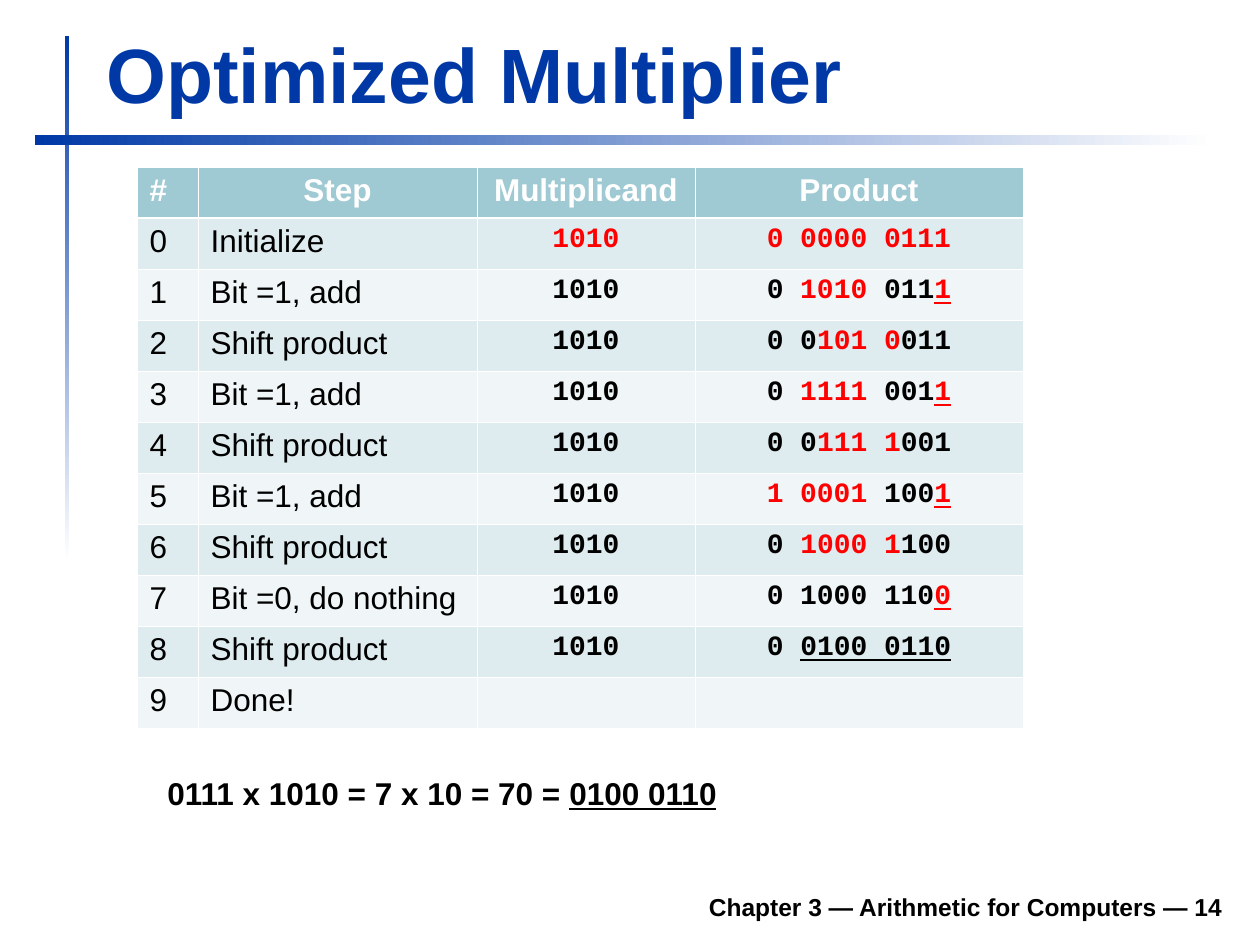
from typing import NamedTuple

from lxml.etree import SubElement
from pptx import Presentation
from pptx.dml.color import RGBColor
from pptx.enum.shapes import MSO_SHAPE
from pptx.enum.text import MSO_ANCHOR, MSO_AUTO_SIZE, PP_ALIGN
from pptx.oxml.ns import qn
from pptx.util import Emu, Pt

BLUE, RED, BLACK, WHITE = "0039A6", "FF0000", "000000", "FFFFFF"
HEADER_FILL, BAND_FILLS = "9FCAD3", ("DFECEF", "F0F6F7")


class Part(NamedTuple):
    """A stretch of text with one colour and underline."""
    text: str
    color: str = BLACK
    underline: bool = False


class Style(NamedTuple):
    """Font and alignment shared by a whole paragraph."""
    size: int = 18
    font: str = "Arial"
    bold: bool = False
    align: PP_ALIGN = PP_ALIGN.LEFT


class Box(NamedTuple):
    """A rectangle in px."""
    left: int
    top: int
    width: int
    height: int


class Step(NamedTuple):
    """One row of the multiplication."""
    action: str
    multiplicand: list[Part]
    product: list[Part]


LABEL = Style()
HEADING = Style(bold=True)
CENTERED_HEADING = Style(bold=True, align=PP_ALIGN.CENTER)
BITS = Style(16, "Courier New", True, PP_ALIGN.CENTER)
ADD, SHIFT = "Bit =1, add", "Shift product"
FACTOR = [Part("1010")]

STEPS = [
    Step("Initialize", [Part("1010", RED)], [Part("0 0000 0111", RED)]),
    Step(ADD, FACTOR, [Part("0"), Part(" 1010", RED), Part(" 011"), Part("1", RED, True)]),
    Step(SHIFT, FACTOR, [Part("0 0"), Part("101 0", RED), Part("011")]),
    Step(ADD, FACTOR, [Part("0"), Part(" 1111", RED), Part(" 001"), Part("1", RED, True)]),
    Step(SHIFT, FACTOR, [Part("0 0"), Part("111 1", RED), Part("001")]),
    Step(ADD, FACTOR, [Part("1 0001", RED), Part(" 100"), Part("1", RED, True)]),
    Step(SHIFT, FACTOR, [Part("0 "), Part("1000 1", RED), Part("100")]),
    Step("Bit =0, do nothing", FACTOR, [Part("0 1000 110"), Part("0", RED, True)]),
    Step(SHIFT, FACTOR, [Part("0 "), Part("0100 0110", BLACK, True)]),
    Step("Done!", [], []),
]
HEADINGS = ("#", "Step", "Multiplicand", "Product")
COLUMN_WIDTHS = (61, 279, 218, 328)
ROW_HEIGHT = 51


def px(length: int) -> Emu:
    """Turn px into EMU at 126 px to the inch."""
    return Emu(round(length * 914400 / 126))


def rgb(color: str) -> RGBColor:
    """Turn a hex string into a colour."""
    return RGBColor.from_string(color)


def write(frame, parts: list[Part], style: Style) -> None:
    """Fill the first paragraph of a text frame."""
    paragraph = frame.paragraphs[0]
    paragraph.alignment = style.align
    paragraph.font.size = Pt(style.size)
    paragraph.font.name = style.font
    paragraph.font.bold = style.bold
    for part in parts:
        run = paragraph.add_run()
        run.text = part.text
        run.font.color.rgb = rgb(part.color)
        if part.underline:
            run.font.underline = True


def draw_text(slide, box: Box, parts: list[Part], style: Style,
              anchor=MSO_ANCHOR.TOP, wrap: bool = True) -> None:
    """Add a text box."""
    frame = slide.shapes.add_textbox(*map(px, box)).text_frame
    frame.word_wrap = wrap
    frame.auto_size = MSO_AUTO_SIZE.NONE if wrap else MSO_AUTO_SIZE.SHAPE_TO_FIT_TEXT
    frame.vertical_anchor = anchor
    write(frame, parts, style)


def draw_fading_bar(slide, box: Box, angle: int) -> None:
    """Add a bar that fades from blue to white."""
    bar = slide.shapes.add_shape(MSO_SHAPE.RECTANGLE, *map(px, box))
    bar.shadow.inherit = False
    bar.line.fill.background()
    bar.fill.gradient()
    bar.fill.gradient_angle = angle
    for stop, color, position in zip(bar.fill.gradient_stops, (BLUE, WHITE), (0, 1)):
        stop.color.rgb = rgb(color)
        stop.position = position


def draw_cell(cell, row: int, parts: list[Part], style: Style) -> None:
    """Give a cell its white borders, fill and text."""
    heavy_side = {0: "lnB", 1: "lnT"}.get(row)
    properties = cell._tc.get_or_add_tcPr()
    for side in ("lnL", "lnR", "lnT", "lnB"):
        width = Pt(1.47 if side == heavy_side else 0.45)
        border = SubElement(properties, qn(f"a:{side}"), w=str(int(width)))
        SubElement(SubElement(border, qn("a:solidFill")), qn("a:srgbClr"), val=WHITE)
    cell.fill.solid()
    cell.fill.fore_color.rgb = rgb(BAND_FILLS[(row - 1) % 2] if row else HEADER_FILL)
    write(cell.text_frame, parts, style)


def draw_steps(slide, left: int, top: int) -> None:
    """Add the table of multiplication steps."""
    row_count = len(STEPS) + 1
    box = Box(left, top, sum(COLUMN_WIDTHS), ROW_HEIGHT * row_count)
    table = slide.shapes.add_table(row_count, len(HEADINGS), *map(px, box)).table
    table.first_row = table.horz_banding = False
    for column, width in zip(table.columns, COLUMN_WIDTHS):
        column.width = px(width)
    for row in table.rows:
        row.height = px(ROW_HEIGHT)
    for column, heading in enumerate(HEADINGS):
        style = CENTERED_HEADING if column else HEADING
        draw_cell(table.cell(0, column), 0, [Part(heading, WHITE)], style)
    for number, step in enumerate(STEPS):
        contents = ([Part(str(number))], [Part(step.action)], step.multiplicand, step.product)
        for column, (parts, style) in enumerate(zip(contents, (LABEL, LABEL, BITS, BITS))):
            draw_cell(table.cell(number + 1, column), number + 1, parts, style)


def main() -> None:
    """Build and save the slide."""
    deck = Presentation()
    deck.slide_width, deck.slide_height = px(1260), px(945)
    slide = deck.slides.add_slide(deck.slide_layouts[6])
    draw_fading_bar(slide, Box(65, 36, 4, 525), 270)
    draw_fading_bar(slide, Box(35, 135, 1180, 10), 0)
    draw_text(slide, Box(233, 879, 1002, 49),
              [Part("Chapter 3 — Arithmetic for Computers — 14")],
              Style(14, bold=True, align=PP_ALIGN.RIGHT), MSO_ANCHOR.BOTTOM)
    draw_text(slide, Box(94, 20, 1138, 105), [Part("Optimized Multiplier", BLUE)],
              Style(44, bold=True), MSO_ANCHOR.BOTTOM)
    draw_steps(slide, 137, 167)
    draw_text(slide, Box(155, 768, 580, 50),
              [Part("0111 x 1010 = 7 x 10 = 70 = "), Part("0100 0110", BLACK, True)],
              HEADING, wrap=False)
    deck.save("out.pptx")


if __name__ == "__main__":
    main()
